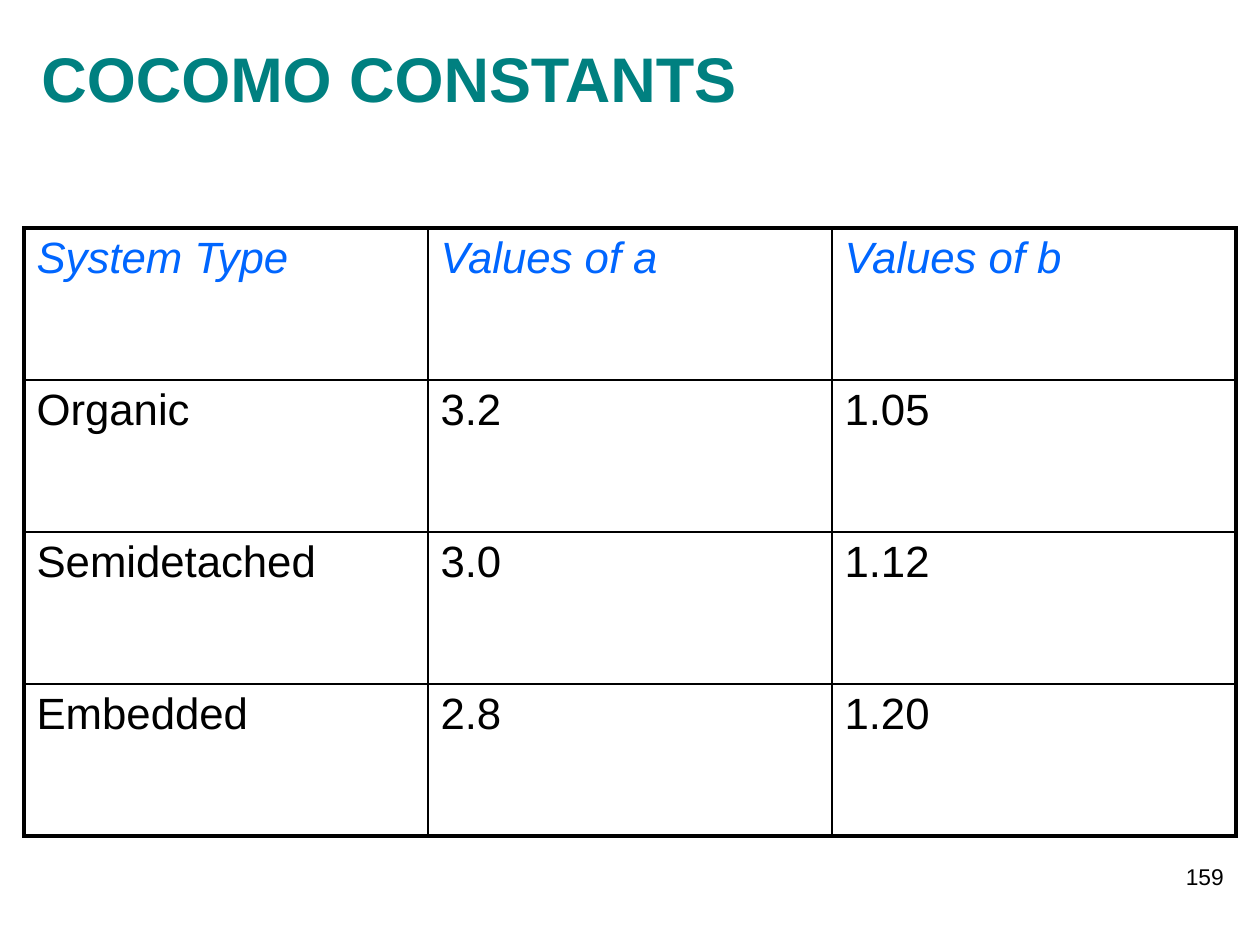
from lxml import etree
from pptx import Presentation
from pptx import util as u
from pptx.dml.color import RGBColor
from pptx.enum import text
from pptx.oxml.ns import qn

COLORS = {"title": "008080", "header": "0066FF", "ink": "000000"}
FONT = "Arial"
TITLE = "COCOMO CONSTANTS"
PAGE_NUMBER = "159"
ROWS = [
    ("System Type", "Values of a", "Values of b"),
    ("Organic", "3.2", "1.05"),
    ("Semidetached", "3.0", "1.12"),
    ("Embedded", "2.8", "1.20"),
]
TABLE_LEFT, TABLE_TOP = 24, 228
COLUMN_WIDTH, ROW_HEIGHT = 404, 152
OUTER_LINE, INNER_LINE = 2.25, 1


def px(count):
    return u.Emu(round(count * 914400 / 126))


def style(para, size, color, bold=False, italic=False):
    for span in para.runs:
        font = span.font
        font.name, font.size = FONT, u.Pt(size)
        font.bold, font.italic = bold, italic
        font.color.rgb = RGBColor.from_string(COLORS[color])


def add_label(page, place, words, anchor, align):
    box = page.shapes.add_textbox(*map(px, place))
    frame = box.text_frame
    frame.word_wrap = True
    frame.vertical_anchor = anchor
    frame.text = words
    para = frame.paragraphs[0]
    para.alignment = align
    return para


def set_borders(cell, widths):
    """Draw the left, right, top and bottom lines, which must precede the fill."""
    properties = cell._tc.get_or_add_tcPr()
    for index, (side, width) in enumerate(zip("LRTB", widths)):
        line = etree.Element(qn(f"a:ln{side}"), w=str(u.Pt(width)))
        fill = etree.SubElement(line, qn("a:solidFill"))
        etree.SubElement(fill, qn("a:srgbClr"), val=COLORS["ink"])
        properties.insert(index, line)


def add_constants_table(page):
    row_count, column_count = len(ROWS), len(ROWS[0])
    table = page.shapes.add_table(
        row_count, column_count, px(TABLE_LEFT), px(TABLE_TOP),
        px(COLUMN_WIDTH * column_count), px(ROW_HEIGHT * row_count)).table
    table.first_row = table.horz_banding = False
    for r, values in enumerate(ROWS):
        for c, value in enumerate(values):
            cell = table.cell(r, c)
            cell.text = value
            cell.fill.background()
            header = r == 0
            style(cell.text_frame.paragraphs[0], 25,
                  "header" if header else "ink", italic=header)
            on_edge = (c == 0, c == column_count - 1, r == 0, r == row_count - 1)
            set_borders(cell, [OUTER_LINE if edge else INNER_LINE for edge in on_edge])


def main():
    deck = Presentation()
    deck.slide_width, deck.slide_height = px(1260), px(945)
    page = deck.slides.add_slide(deck.slide_layouts[6])
    title = add_label(page, (29, 19, 1012, 117), TITLE,
                      text.MSO_ANCHOR.MIDDLE, text.PP_ALIGN.LEFT)
    style(title, 36, "title", bold=True)
    add_constants_table(page)
    number = add_label(page, (974, 857, 262, 63), PAGE_NUMBER,
                       text.MSO_ANCHOR.TOP, text.PP_ALIGN.RIGHT)
    style(number, 13, "ink")
    deck.save("out.pptx")


if __name__ == "__main__":
    main()
